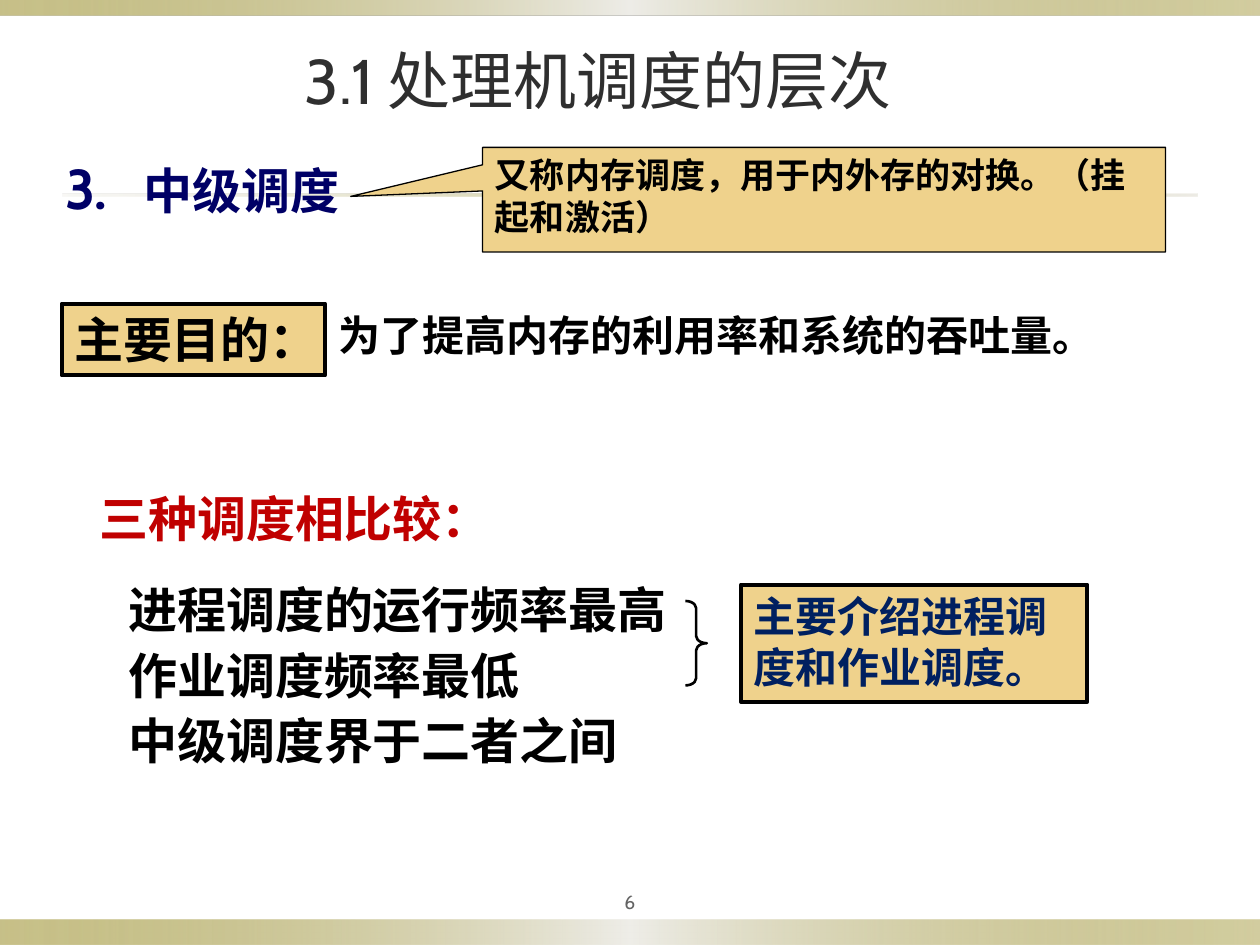
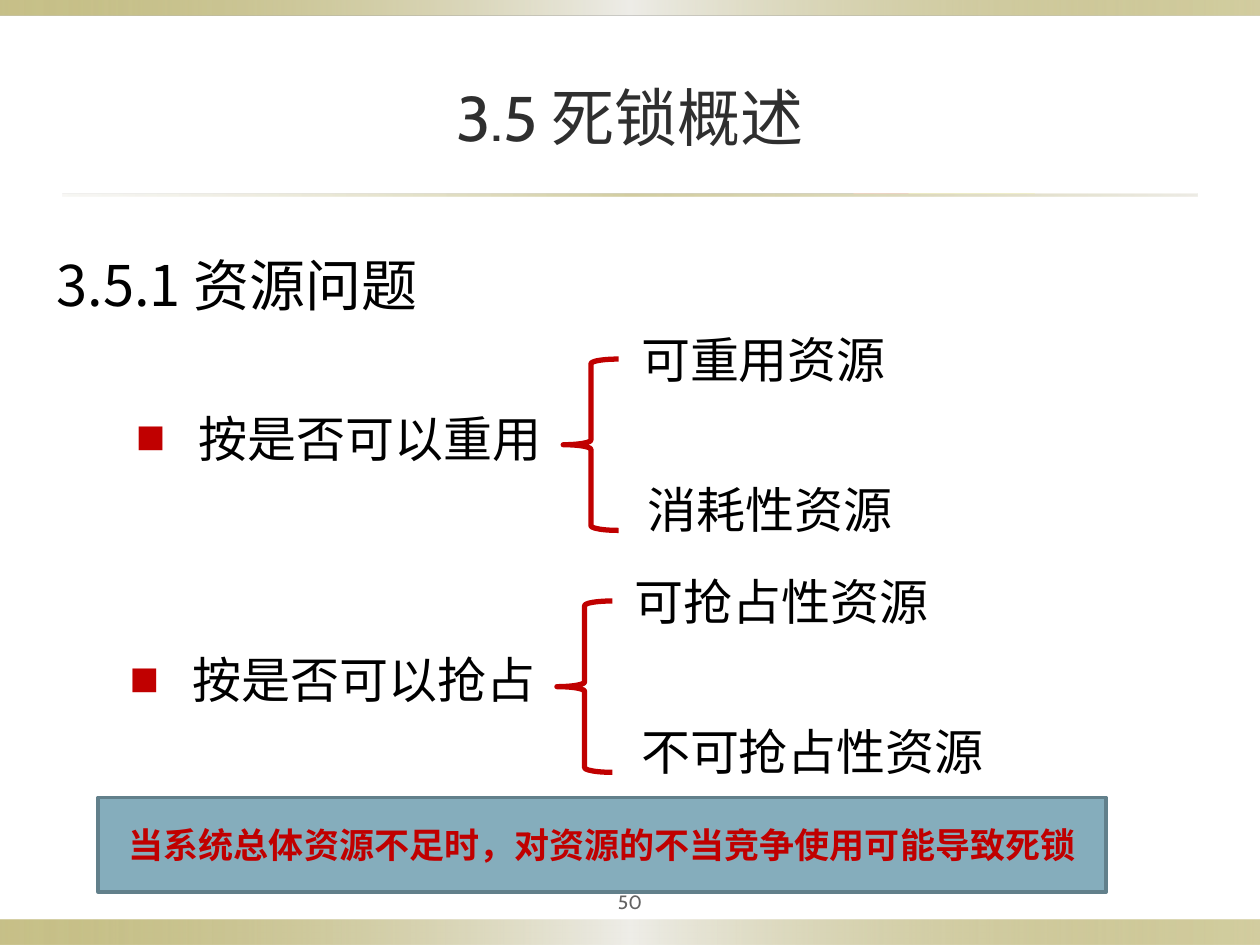
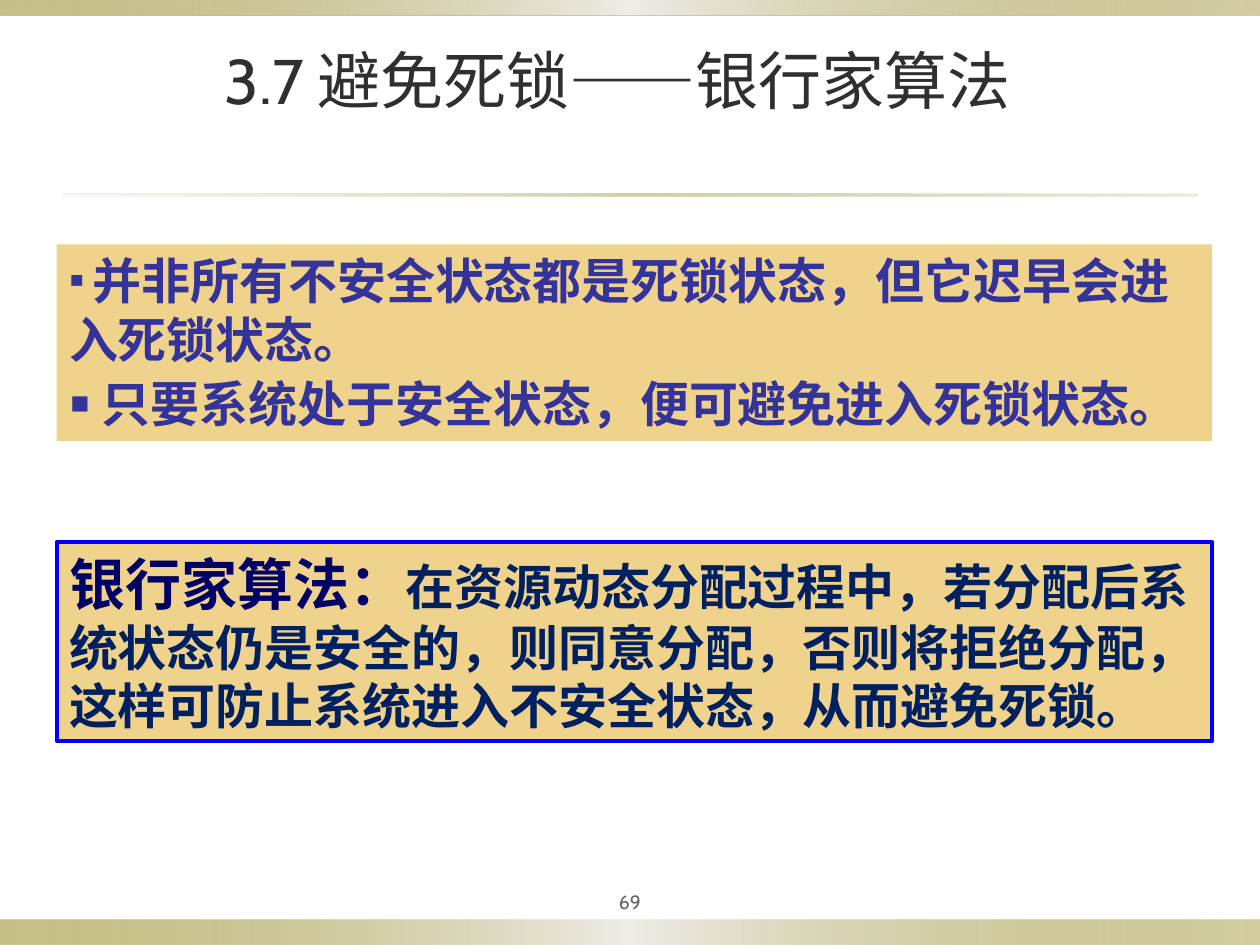
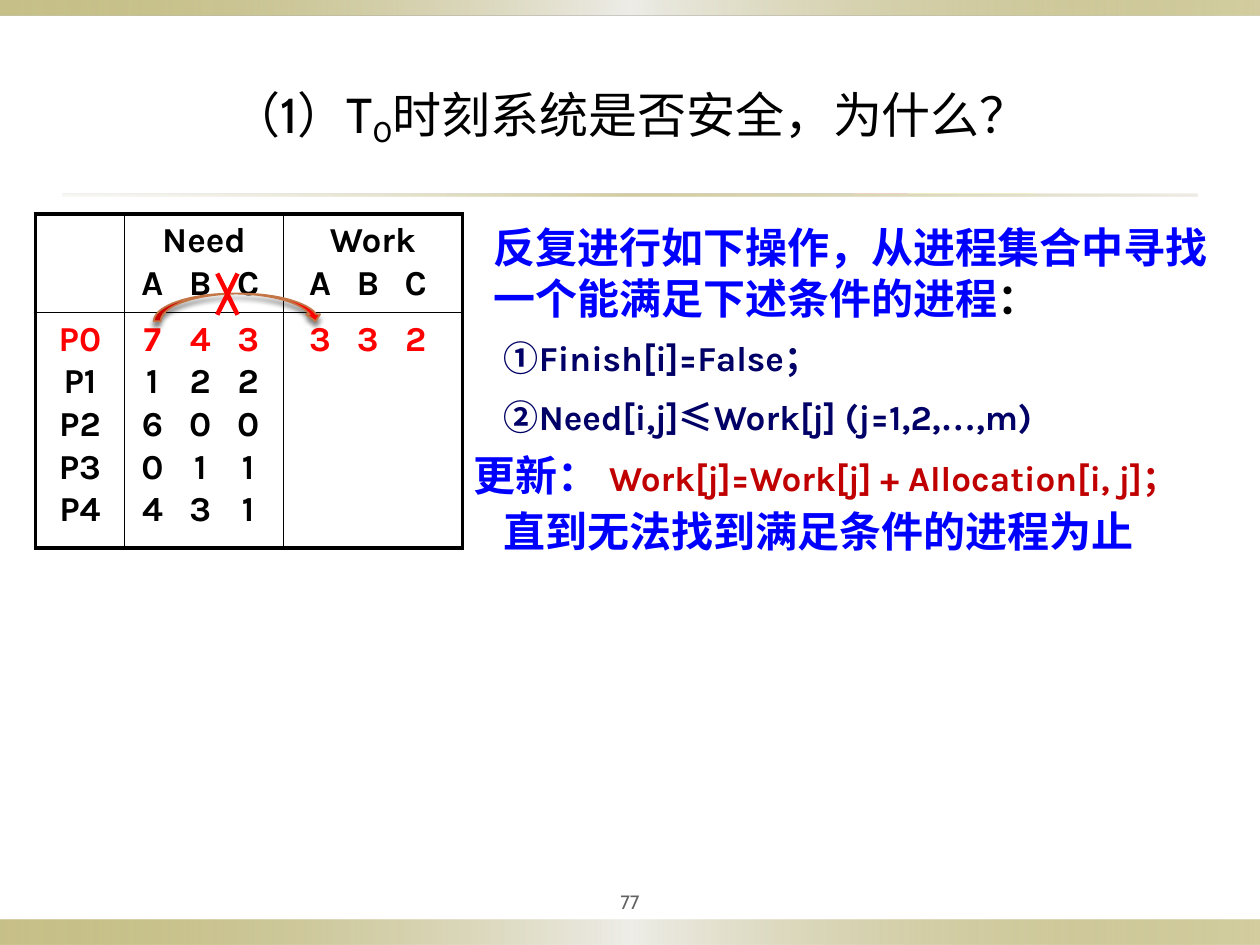
from dataclasses import dataclass

from lxml import etree
from pptx import Presentation, util as u
from pptx.dml.color import RGBColor
from pptx.enum import shapes, text
from pptx.oxml.ns import qn

SHAPE = shapes.MSO_SHAPE
ALIGN = text.PP_ALIGN
ANCHOR = text.MSO_ANCHOR


@dataclass(frozen=True)
class Theme:
    latin: str = "Cabin"
    strong: str = "Karla"
    chinese: str = "Noto Sans CJK SC"
    serif: str = "Times New Roman"

    black: str = "000000"
    title_gray: str = "2F2F2F"
    number_gray: str = "636363"
    gold: str = "918415"
    pale_gold: str = "DCD9CC"
    silver: str = "EEEDE8"
    sand: str = "EFD28C"
    dark_red: str = "C00000"
    red: str = "FF0000"
    rust: str = "C47546"
    blue: str = "0000FF"
    navy: str = "000066"
    ink: str = "002060"
    indigo: str = "333399"
    teal: str = "85ADBC"
    dark_teal: str = "62808B"

    title: int = 36
    heading: int = 32
    body: int = 28
    note: int = 24
    small: int = 20
    number: int = 11
    leading: float = 1.2
    tight_leading: float = 1.05


THEME = Theme()


@dataclass(frozen=True)
class Box:
    left: float
    top: float
    width: float
    height: float

    def inside(self, dx, dy, width, height):
        return Box(round(self.left + dx, 2), round(self.top + dy, 2), width, height)

    def lengths(self):
        return [u.Inches(side) for side in (self.left, self.top, self.width, self.height)]


FULL = Box(0, 0, 10, 7.5)


def add_xml(parent, tag, **attributes):
    child = etree.SubElement(parent, qn(tag))
    for name, value in attributes.items():
        child.set(name, str(value))
    return child


def set_font(font, face=None, size=None, color=None, bold=None):
    if color:
        font.color.rgb = RGBColor.from_string(color)
    if size:
        font.size = u.Pt(size)
    if bold is not None:
        font.bold = bold
    if face:
        font.name = face
        add_xml(font._rPr, "a:ea", typeface=THEME.chinese)


def add_bullet(para, char, color=None, percent=None):
    props = para._p.get_or_add_pPr()
    if color:
        add_xml(add_xml(props, "a:buClr"), "a:srgbClr", val=color)
    if percent:
        add_xml(props, "a:buSzPct", val=percent * 1000)
    add_xml(props, "a:buFont", typeface=THEME.serif)
    add_xml(props, "a:buChar", char=char)


def add_tabs(para, stops, align="l"):
    tabs = add_xml(para._p.get_or_add_pPr(), "a:tabLst")
    for stop in stops:
        add_xml(tabs, "a:tab", pos=u.Inches(stop), algn=align)


def write(frame, lines, face=THEME.latin, size=THEME.body, color=THEME.black, bold=False,
          align=ALIGN.LEFT, before=0, leading=THEME.leading, prepare=None):
    """Fill a frame; a line is a string or a list of strings and (string, font changes)."""
    for index, line in enumerate(lines):
        para = frame.paragraphs[0] if index == 0 else frame.add_paragraph()
        spans = [line] if isinstance(line, str) else line
        if prepare:
            prepare(para)
        para.alignment = align
        if index and before:
            para.space_before = u.Pt(before)
        if leading:
            biggest = max([size] + [part[1].get("size", 0) for part in spans
                                    if isinstance(part, tuple)])
            para.line_spacing = u.Pt(round(biggest * leading, 1))
        set_font(para.font, face, size, color, bold)
        for part in spans:
            words, changes = part if isinstance(part, tuple) else (part, {})
            changes = dict(changes)
            baseline = changes.pop("baseline", None)
            span = para.add_run()
            span.text = words
            set_font(span.font, **changes)
            if baseline:
                span.font._rPr.set("baseline", str(baseline * 1000))


def add_text(page, box, lines, anchor=ANCHOR.TOP, **style):
    frame = page.shapes.add_textbox(*box.lengths()).text_frame
    frame.word_wrap = True
    frame.vertical_anchor = anchor
    write(frame, lines, **style)
    return frame


def add_figure(page, box, kind, fill=None, line=None, weight=1.0, adjust=()):
    figure = page.shapes.add_shape(kind, *box.lengths())
    figure.shadow.inherit = False
    for index, value in enumerate(adjust):
        figure.adjustments[index] = value
    if fill:
        figure.fill.solid()
        figure.fill.fore_color.rgb = RGBColor.from_string(fill)
    else:
        figure.fill.background()
    if line:
        figure.line.color.rgb = RGBColor.from_string(line)
        figure.line.width = u.Pt(weight)
    else:
        figure.line.fill.background()
    return figure


def add_panel(page, box, lines, fill=THEME.sand, line=None, weight=2.25,
              kind=SHAPE.RECTANGLE, adjust=(), anchor=ANCHOR.TOP, **style):
    """Filled shape that holds text."""
    panel = add_figure(page, box, kind, fill, line, weight, adjust)
    panel.text_frame.word_wrap = True
    panel.text_frame.vertical_anchor = anchor
    write(panel.text_frame, lines, bold=True, **style)


def add_gradient(page, box, stops):
    """Horizontal gradient bar; a stop is (position, colour, opacity), all in percent."""
    bar = add_figure(page, box, SHAPE.RECTANGLE)
    props = bar._element.spPr
    gradient = etree.Element(qn("a:gradFill"), rotWithShape="1")
    stop_list = add_xml(gradient, "a:gsLst")
    for position, color, opacity in stops:
        stop = add_xml(stop_list, "a:gs", pos=position * 1000)
        add_xml(add_xml(stop, "a:srgbClr", val=color), "a:alpha", val=opacity * 1000)
    add_xml(gradient, "a:lin", ang=0, scaled=0)
    props.replace(props.find(qn("a:noFill")), gradient)
    return bar


def decorate_layout(layout, page):
    """Draw the bands and the rule on a page, then move them to its layout."""
    band = [(0, THEME.gold, 50), (50, THEME.silver, 100), (100, THEME.gold, 40)]
    rule = [(0, THEME.pale_gold, 20), (50, THEME.gold, 40), (100, THEME.pale_gold, 50)]
    for box, stops in ((FULL.inside(0, 7.3, 10, 0.2), band),
                       (FULL.inside(0, 0, 10, 0.12), band),
                       (FULL.inside(0.5, 1.54, 9, 0.02), rule)):
        layout.shapes.element.append(add_gradient(page, box, stops).element)


def add_title(page, box, spans, size=THEME.title, color=THEME.title_gray):
    add_text(page, box, [spans], anchor=ANCHOR.MIDDLE, face=THEME.chinese, size=size,
             color=color, align=ALIGN.CENTER, leading=None)


def add_page_number(page, number):
    frame = add_text(page, FULL.inside(4.5, 7, 1, 0.31), [str(number)], anchor=ANCHOR.MIDDLE,
                     size=THEME.number, color=THEME.number_gray, align=ALIGN.CENTER,
                     leading=None)
    frame.margin_left = frame.margin_right = u.Inches(0.05)


def scheduling_page(page, box):
    add_title(page, box.inside(0.25, 0.25, 9, 0.76),
              [("3.1 ", {"face": THEME.latin}), "处理机调度的层次"])
    add_text(page, box.inside(0.42, 1.17, 3.62, 0.71),
             [[("3", {"size": THEME.heading, "face": THEME.latin}), ".\t中级调度"]],
             face=THEME.strong, color=THEME.navy, bold=True,
             prepare=lambda para: add_tabs(para, [0.62]))
    purpose(page, box.inside(0.49, 2.41, 8.6, 0.57))
    comparison(page, box.inside(0.69, 3.83, 7.94, 2.36))
    add_panel(page, box.inside(3.83, 1.17, 5.42, 0.83),
              ["又称内存调度，用于内外存的对换。（挂起和激活）"],
              line=THEME.black, weight=0.75, kind=SHAPE.RECTANGULAR_CALLOUT,
              adjust=(-0.693, -0.031), face=THEME.chinese, size=THEME.small)


def purpose(page, box):
    add_panel(page, box.inside(0, 0, 2.09, 0.57), ["主要目的："],
              line=THEME.black, face=THEME.strong)
    add_text(page, box.inside(2.1, 0, 6.5, 0.5), ["为了提高内存的利用率和系统的吞吐量。"],
             face=THEME.serif, size=THEME.note, bold=True)


def comparison(page, box):
    add_text(page, box.inside(0, 0, 3.89, 0.57), ["三种调度相比较："],
             face=THEME.strong, color=THEME.dark_red, bold=True)
    add_text(page, box.inside(0.23, 0.72, 4.75, 1.64),
             ["进程调度的运行频率最高", "作业调度频率最低", "中级调度界于二者之间"],
             face=THEME.chinese, bold=True, before=4)
    add_figure(page, box.inside(4.75, 0.94, 0.17, 0.67), SHAPE.RIGHT_BRACE,
               line=THEME.black, weight=1.5, adjust=(0.333, 0.5))
    add_panel(page, box.inside(5.19, 0.81, 2.75, 0.93), ["主要介绍进程调度和作业调度。"],
              line=THEME.black, face=THEME.strong, size=THEME.note, color=THEME.ink)


def resource_page(page, box):
    add_title(page, box.inside(0.5, 0.3, 9, 1.25),
              [("3.5 ", {"face": THEME.latin}), "死锁概述"])
    add_text(page, box.inside(0.35, 1.94, 9.38, 0.63), ["3.5.1 资源问题"],
             face=THEME.chinese, size=THEME.heading)
    resource_split(page, box.inside(0.98, 2.57, 6.23, 1.76),
                   "按是否可以重用", ("可重用资源", 2.17), ("消耗性资源", 2.17))
    resource_split(page, box.inside(0.93, 4.49, 7.01, 1.76),
                   "按是否可以抢占", ("可抢占性资源", 2.56), ("不可抢占性资源", 2.95))
    add_panel(page, box.inside(0.78, 6.33, 8, 0.75),
              ["当系统总体资源不足时，对资源的不当竞争使用可能导致死锁"],
              fill=THEME.teal, line=THEME.dark_teal, weight=2, anchor=ANCHOR.MIDDLE,
              size=THEME.small, color=THEME.dark_red, align=ALIGN.CENTER)


def resource_split(page, box, criterion, upper, lower):
    """A criterion, a brace and the two kinds of resource, each (name, width)."""
    def hanging_square(para):
        props = para._p.get_or_add_pPr()
        props.set("marL", str(u.Inches(0.5)))
        props.set("indent", str(u.Inches(-0.5)))
        add_bullet(para, "■", THEME.dark_red)

    add_text(page, box.inside(0, 0.62, 3.46, 0.57), [criterion], prepare=hanging_square)
    for (name, width), dx, dy in ((upper, 4.01, 0), (lower, 4.06, 1.19)):
        add_text(page, box.inside(dx, dy, width, 0.57), [name])
    add_figure(page, box.inside(3.49, 0.28, 0.44, 1.36), SHAPE.LEFT_BRACE,
               line=THEME.dark_red, weight=3)


def avoidance_page(page, box):
    add_title(page, box.inside(0.25, 0.25, 9.42, 0.76),
              [("3.7 ", {"face": THEME.latin}), "避免死锁",
               ("——", {"face": THEME.serif}), "银行家算法 "])
    add_panel(page, box.inside(0.45, 1.94, 9.17, 1.56),
              [[(" ", {"size": THEME.small}),
                "并非所有不安全状态都是死锁状态，但它迟早会进入死锁状态。"],
               " 只要系统处于安全状态，便可避免进入死锁状态。"],
              face=THEME.chinese, color=THEME.indigo, before=3,
              prepare=lambda para: add_bullet(para, "▪", percent=125))
    add_panel(page, box.inside(0.45, 4.3, 9.17, 1.58),
              [[("银行家算法：", {"size": THEME.heading, "color": THEME.navy}),
                "在资源动态分配过程中，若分配后系统状态仍是安全的，则同意分配，"
                "否则将拒绝分配，这样可防止系统进入不安全状态，从而避免死锁。"]],
              line=THEME.blue, face=THEME.chinese, color=THEME.ink,
              anchor=ANCHOR.BOTTOM, leading=THEME.tight_leading)


def safety_page(page, box):
    latin = {"face": THEME.latin}
    add_title(page, box.inside(0.5, 0.3, 9, 1.25),
              ["（", ("1", latin), "）", ("T", latin), ("0", {**latin, "baseline": -18}),
               "时刻系统是否安全，为什么？"], size=THEME.body, color=THEME.black)
    need_table(page, box.inside(0.28, 1.7, 3.39, 2.65))
    safety_steps(page, box.inside(3.66, 1.71, 6.3, 2.75))


def set_borders(cell, row, column, last_row, last_column):
    """Thick lines around the table, thin lines inside it."""
    props = cell._tc.get_or_add_tcPr()
    edges = {"a:lnL": column == 0, "a:lnR": column == last_column,
             "a:lnT": row == 0, "a:lnB": row == last_row}
    for index, (tag, outer) in enumerate(edges.items()):
        line = etree.Element(qn(tag), w=str(u.Pt(2.25 if outer else 1)))
        add_xml(add_xml(line, "a:solidFill"), "a:srgbClr", val=THEME.black)
        props.insert(index, line)


def need_table(page, box):
    red = {"color": THEME.red}
    letters = "\tA\tB\tC"
    rows = [[[], ["Need", letters], ["Work", letters]],
            [[[("P0", red)], "P1", "P2", "P3", "P4"],
             [[("\t7\t4\t3", red)], "\t1\t2\t2", "\t6\t0\t0", "\t0\t1\t1", "\t4\t3\t1"],
             [[("\t3\t3\t2", red)]]]]
    stops = [[], [0.12, 0.5, 0.88], [0.19, 0.57, 0.95]]
    table_frame = page.shapes.add_table(2, 3, *box.lengths())
    table = table_frame.table
    table.first_row = table.horz_banding = False
    for column, width in zip(table.columns, (0.71, 1.26, 1.42)):
        column.width = u.Inches(width)
    for row, height in zip(table.rows, (0.74, 1.87)):
        row.height = u.Inches(height)
    for row, cells in enumerate(rows):
        for column, lines in enumerate(cells):
            cell = table.cell(row, column)
            cell.fill.background()
            set_borders(cell, row, column, len(rows) - 1, len(cells) - 1)
            write(cell.text_frame, lines, face=THEME.strong, size=THEME.small, bold=True,
                  before=1, leading=None,
                  prepare=lambda para: add_tabs(para, stops[column], "ctr"))
            for para in cell.text_frame.paragraphs:
                if "\t" not in para.text:
                    para.alignment = ALIGN.CENTER

    arrow = add_figure(page, box.inside(0.94, 0.63, 1.34, 0.22), SHAPE.CURVED_DOWN_ARROW,
                       fill=THEME.red, line=THEME.rust)
    shadow = add_xml(arrow._element.spPr.find(qn("a:effectLst")), "a:outerShdw",
                     blurRad=u.Pt(2.8), dist=u.Pt(2.5), dir=90 * 60000, rotWithShape=0)
    add_xml(add_xml(shadow, "a:srgbClr", val=THEME.black), "a:alpha", val=50000)
    add_figure(page, box.inside(1.37, 0.32, 0.31, 0.63), SHAPE.MATH_MULTIPLY,
               fill=THEME.red, adjust=(0.115,))


def safety_steps(page, box):
    code = {"face": THEME.strong}
    instruction = {"face": THEME.chinese, "size": THEME.note, "color": THEME.blue,
                   "bold": True}
    add_text(page, box.inside(0.16, 0, 6.06, 0.91),
             [["反复进行如下操作，从进程集合中寻找一个能满足下述条件的进程",
               ("：", {"color": THEME.black})]], **instruction)
    add_text(page, box.inside(0.24, 0.91, 5.43, 0.94),
             [["①", ("Finish[i]=False", code), "；"],
              ["②", ("Need[i,j]", code), "≤", ("Work[j] (j=1,2,", code),
               ("…", {"face": THEME.serif}), (",m)", code)]],
             face=THEME.chinese, size=THEME.small, color=THEME.navy, bold=True, before=10)
    update = {"size": THEME.small, "color": THEME.dark_red}
    add_text(page, box.inside(0, 1.81, 6.22, 0.5),
             [["更新： ", ("Work[j]=Work[j] + Allocation[i, j]", update),
               ("；", {**update, "face": THEME.chinese})]],
             **{**instruction, "face": THEME.strong})
    add_text(page, box.inside(0.24, 2.25, 6.06, 0.5), ["直到无法找到满足条件的进程为止"],
             **instruction)


def main():
    deck = Presentation()
    deck.slide_width, deck.slide_height = u.Inches(FULL.width), u.Inches(FULL.height)
    blank = deck.slide_layouts[6]
    builders = ((scheduling_page, 6), (resource_page, 50),
                (avoidance_page, 69), (safety_page, 77))
    for index, (build, number) in enumerate(builders):
        page = deck.slides.add_slide(blank)
        if index == 0:
            decorate_layout(blank, page)
        build(page, FULL)
        add_page_number(page, number)
    deck.save("out.pptx")


if __name__ == "__main__":
    main()
